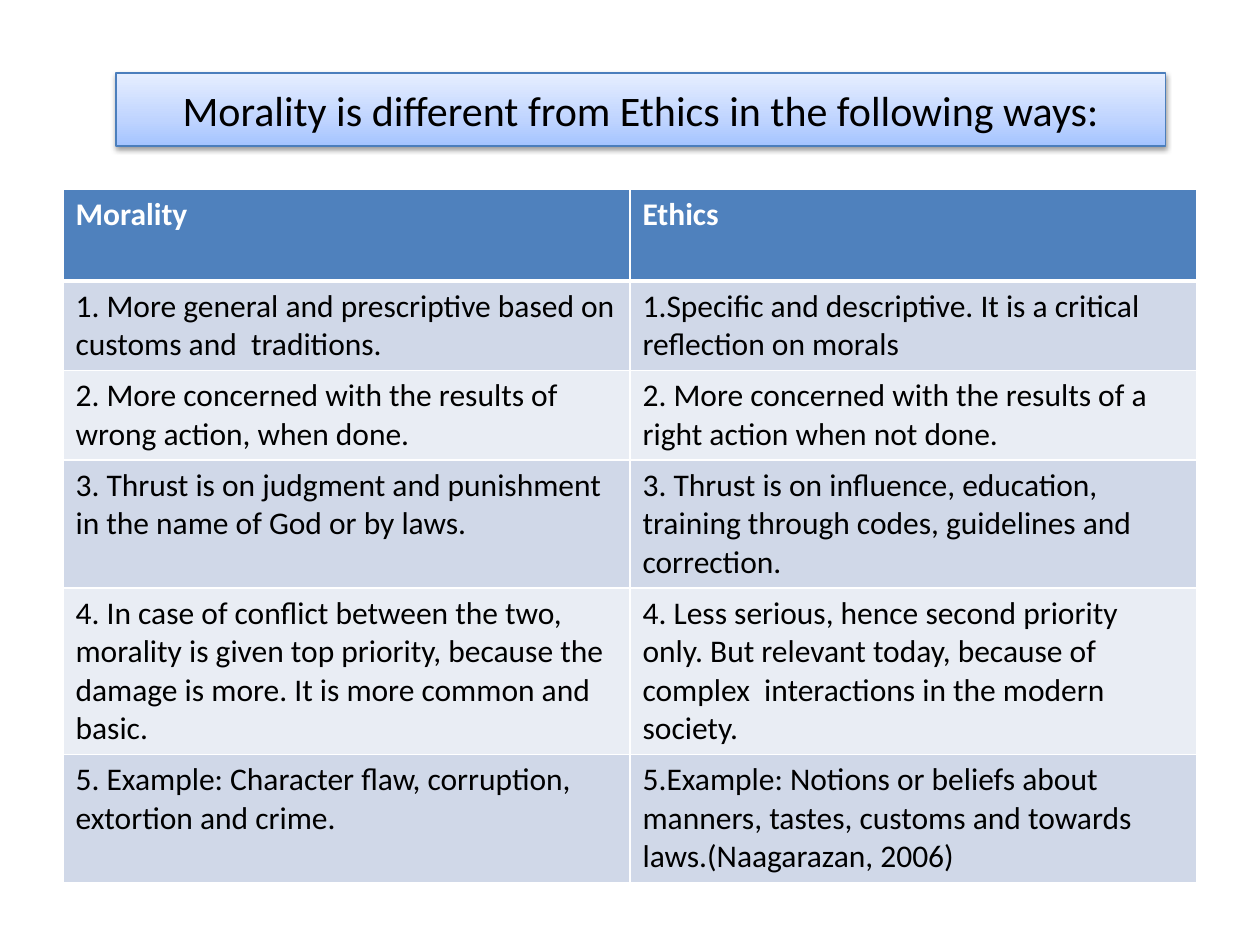
from dataclasses import dataclass
from typing import Any

from lxml.etree import SubElement
from pptx import Presentation
from pptx.dml.color import RGBColor
from pptx.enum.text import MSO_ANCHOR, MSO_AUTO_SIZE, PP_ALIGN
from pptx.oxml import parse_xml
from pptx.oxml.ns import nsdecls, qn
from pptx.util import Inches, Pt

BLACK = RGBColor(0x00, 0x00, 0x00)
WHITE = RGBColor(0xFF, 0xFF, 0xFF)
HEADER_BLUE = RGBColor(0x4F, 0x81, 0xBD)
BAND_DARK = RGBColor(0xD0, 0xD8, 0xE8)
BAND_LIGHT = RGBColor(0xE9, 0xED, 0xF4)
TITLE_EDGE = RGBColor(0x4B, 0x7E, 0xBC)
TITLE_GRADIENT = (
    (0, RGBColor(0xA4, 0xC4, 0xFF)),
    (35, RGBColor(0xBF, 0xD4, 0xFF)),
    (100, RGBColor(0xE6, 0xEE, 0xFF)),
)

TITLE_FONT = {"name": "Calibri", "size": Pt(24), "bold": False}
HEADER_FONT = {"name": "Calibri", "size": Pt(18), "bold": True}
BODY_FONT = {"name": "Calibri", "size": Pt(18), "bold": False}


@dataclass(frozen=True)
class Contrast:
    morality: str
    ethics: str
    height: float


CONTRASTS = [
    Contrast("Morality", "Ethics", 0.73),
    Contrast(
        "1. More general and prescriptive based on customs and  traditions.",
        "1.Specific and descriptive. It is a critical\nreflection on morals",
        0.62,
    ),
    Contrast(
        "2. More concerned with the results of wrong action, when done.",
        "2. More concerned with the results of a right action when not done.",
        0.62,
    ),
    Contrast(
        "3. Thrust is on judgment and punishment in the name of God or by laws.",
        "3. Thrust is on influence, education, training through codes, "
        "guidelines and correction.",
        0.88,
    ),
    Contrast(
        "4. In case of conflict between the two, morality is given top priority, "
        "because the damage is more. It is more common and basic.",
        "4. Less serious, hence second priority only. But relevant today, "
        "because of complex  interactions in the modern society.",
        1.15,
    ),
    Contrast(
        "5. Example: Character flaw, corruption, extortion and crime.",
        "5.Example: Notions or beliefs about manners, tastes, customs and "
        "towards laws.(Naagarazan, 2006)",
        0.88,
    ),
]


def apply_format(target: Any, values: dict[str, Any]) -> None:
    for attribute, value in values.items():
        setattr(target, attribute, value)


def write_text(frame: Any, text: str, font: dict[str, Any], color: RGBColor) -> None:
    frame.text = text
    for paragraph in frame.paragraphs:
        for run in paragraph.runs:
            apply_format(run.font, font)
            run.font.color.rgb = color


def add_title(slide: Any, text: str) -> None:
    title = slide.shapes.title
    apply_format(title, {
        "left": Inches(0.92), "top": Inches(0.58),
        "width": Inches(8.33), "height": Inches(0.58),
    })
    write_text(title.text_frame, text, TITLE_FONT, BLACK)
    apply_format(title.text_frame, {
        "word_wrap": True,
        "auto_size": MSO_AUTO_SIZE.NONE,
        "vertical_anchor": MSO_ANCHOR.MIDDLE,
    })
    title.text_frame.paragraphs[0].alignment = PP_ALIGN.CENTER

    title.fill.gradient()
    title.fill.gradient_angle = 90
    stops = title.fill._fill._gradFill.find(qn("a:gsLst"))
    stops.clear()
    for percent, color in TITLE_GRADIENT:
        stop = SubElement(stops, qn("a:gs"), pos=str(percent * 1000))
        SubElement(stop, qn("a:srgbClr"), val=str(color))
    title.line.color.rgb = TITLE_EDGE
    title.line.width = Pt(0.75)
    title.element.spPr.append(parse_xml(
        f'<a:effectLst {nsdecls("a")}>'
        f'<a:outerShdw blurRad="{Pt(3.1)}" dist="{Pt(1.6)}" dir="5400000" rotWithShape="0">'
        f'<a:srgbClr val="{BLACK}"><a:alpha val="38000"/></a:srgbClr>'
        '</a:outerShdw></a:effectLst>'
    ))


def set_borders(cell: Any, top: float, bottom: float) -> None:
    properties = cell._tc.get_or_add_tcPr()
    widths = {"lnL": 1, "lnR": 1, "lnT": top, "lnB": bottom}
    for position, (side, width) in enumerate(widths.items()):
        properties.insert(position, parse_xml(
            f'<a:{side} {nsdecls("a")} w="{Pt(width)}"><a:solidFill>'
            f'<a:srgbClr val="{WHITE}"/></a:solidFill></a:{side}>'
        ))


def add_comparison(slide: Any, contrasts: list[Contrast]) -> None:
    table = slide.shapes.add_table(
        len(contrasts), 2, Inches(0.5), Inches(1.5), Inches(9), Inches(5.43)
    ).table
    for index, contrast in enumerate(contrasts):
        table.rows[index].height = Inches(contrast.height)
        is_header = index == 0
        band = BAND_DARK if index % 2 else BAND_LIGHT
        for column, text in enumerate((contrast.morality, contrast.ethics)):
            cell = table.cell(index, column)
            write_text(
                cell.text_frame, text,
                HEADER_FONT if is_header else BODY_FONT,
                WHITE if is_header else BLACK,
            )
            cell.fill.solid()
            cell.fill.fore_color.rgb = HEADER_BLUE if is_header else band
            set_borders(cell, top=3 if index == 1 else 1, bottom=3 if is_header else 1)


def main() -> None:
    presentation = Presentation()
    presentation.slide_width = Inches(10)
    presentation.slide_height = Inches(7.5)
    slide = presentation.slides.add_slide(presentation.slide_layouts[5])
    add_title(slide, "Morality is different from Ethics in the following ways:")
    add_comparison(slide, CONTRASTS)
    presentation.save("out.pptx")


if __name__ == "__main__":
    main()
